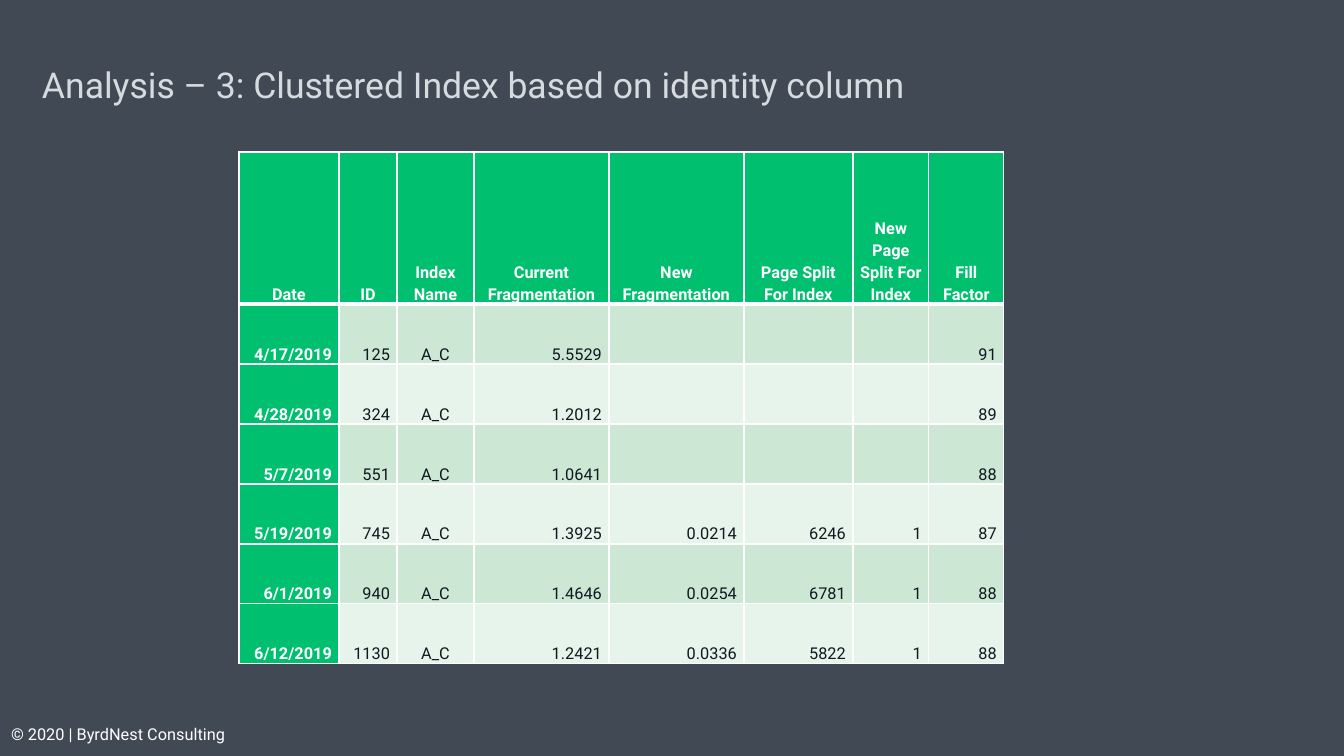
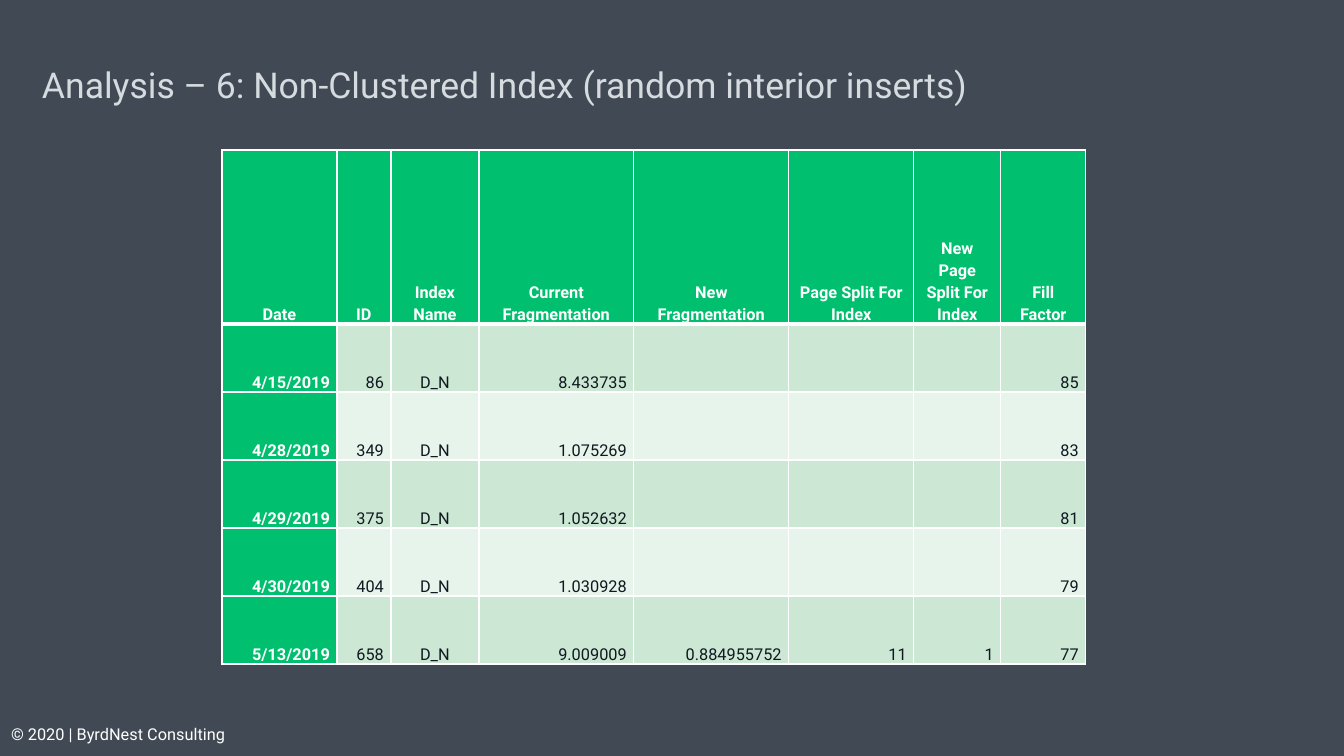
from lxml.etree import SubElement
from pptx import Presentation
from pptx.dml.color import RGBColor
from pptx.enum.text import MSO_ANCHOR as ANCHOR, PP_ALIGN as ALIGN
from pptx.oxml.ns import qn
from pptx.util import Emu, Pt

EMU_PER_PX = 8572.5

HEADINGS = ["Date", "ID", "Index Name", "Current Fragmentation", "New Fragmentation",
            "Page Split For Index", "New Page Split For Index", "Fill Factor"]
NAME_COLUMN = HEADINGS.index("Index Name")

ANALYSES = [
    {
        "title": "Analysis – 3: Clustered Index based on identity column",
        "origin": (239, 152),
        "widths": [100, 58, 77, 135, 135, 109, 76, 75],
        "heights": (152, 60),
        "records": [
            ["4/17/2019", "125", "A_C", "5.5529", "", "", "", "91"],
            ["4/28/2019", "324", "A_C", "1.2012", "", "", "", "89"],
            ["5/7/2019", "551", "A_C", "1.0641", "", "", "", "88"],
            ["5/19/2019", "745", "A_C", "1.3925", "0.0214", "6246", "1", "87"],
            ["6/1/2019", "940", "A_C", "1.4646", "0.0254", "6781", "1", "88"],
            ["6/12/2019", "1130", "A_C", "1.2421", "0.0336", "5822", "1", "88"],
        ],
    },
    {
        "title": "Analysis – 6: Non-Clustered Index (random interior inserts)",
        "origin": (222, 150),
        "widths": [115, 54, 88, 155, 155, 125, 87, 85],
        "heights": (174, 68),
        "records": [
            ["4/15/2019", "86", "D_N", "8.433735", "", "", "", "85"],
            ["4/28/2019", "349", "D_N", "1.075269", "", "", "", "83"],
            ["4/29/2019", "375", "D_N", "1.052632", "", "", "", "81"],
            ["4/30/2019", "404", "D_N", "1.030928", "", "", "", "79"],
            ["5/13/2019", "658", "D_N", "9.009009", "0.884955752", "11", "1", "77"],
        ],
    },
]


def px(length):
    return Emu(int(length * EMU_PER_PX))


def color(hex_code):
    return RGBColor.from_string(hex_code)


class Deck:
    FONT = "Roboto"
    BACKGROUND, TITLE, WHITE, INK = "414A54", "D6DBE0", "FFFFFF", "101820"
    GREEN, BANDS = "00BF6F", ("CCE8D5", "E7F4EB")
    THIN, THICK = 1, 3

    def __init__(self):
        self.prs = Presentation()
        self.prs.slide_width, self.prs.slide_height = px(1344), px(756)
        self.slide = None

    # Slide with the shared background, title and footer
    def add_slide(self, title):
        self.slide = self.prs.slides.add_slide(self.prs.slide_layouts[6])
        background = self.slide.background.fill
        background.solid()
        background.fore_color.rgb = color(self.BACKGROUND)
        self.text(title, (42, 42, 1260, 84), 24, self.TITLE, (0, 0))
        self.text("© 2020 | ByrdNest Consulting", (0, 713, 239, 43), 11, self.WHITE, (11, 5))

    def style_font(self, paragraph, size, hex_code, bold=False):
        font = paragraph.font
        for key, value in {"name": self.FONT, "size": Pt(size), "bold": bold}.items():
            setattr(font, key, value)
        font.color.rgb = color(hex_code)

    def text(self, words, box, size, hex_code, insets):
        frame = self.slide.shapes.add_textbox(*map(px, box)).text_frame
        side, edge = map(px, insets)
        layout = {"word_wrap": True, "vertical_anchor": ANCHOR.MIDDLE,
                  "margin_left": side, "margin_right": side,
                  "margin_top": edge, "margin_bottom": edge}
        for key, value in layout.items():
            setattr(frame, key, value)
        frame.text = words
        self.style_font(frame.paragraphs[0], size, hex_code)

    # Table with a green heading row and date column over banded rows
    def table(self, origin, widths, heights, records):
        rows = [HEADINGS] + records
        head_height, row_height = heights
        total = head_height + row_height * len(records)
        frame = self.slide.shapes.add_table(
            len(rows), len(widths), *map(px, (*origin, sum(widths), total)))
        table = frame.table
        table.first_col = True
        for column, width in zip(table.columns, widths):
            column.width = px(width)
        for r, values in enumerate(rows):
            table.rows[r].height = px(row_height if r else head_height)
            for c, value in enumerate(values):
                self.cell(table.cell(r, c), value, r, c)

    def cell(self, cell, value, r, c):
        is_heading = r == 0 or c == 0
        # Borders come before the fill in the cell's XML
        self.borders(cell, {"L": self.THIN, "R": self.THIN,
                            "T": self.THICK if r == 1 else self.THIN,
                            "B": self.THICK if r == 0 else self.THIN})
        cell.fill.solid()
        cell.fill.fore_color.rgb = color(self.GREEN if is_heading else self.BANDS[(r - 1) % 2])
        layout = {"vertical_anchor": ANCHOR.BOTTOM, "margin_left": px(7),
                  "margin_right": px(7), "margin_top": 0, "margin_bottom": 0}
        for key, attribute in layout.items():
            setattr(cell, key, attribute)
        cell.text = value
        paragraph = cell.text_frame.paragraphs[0]
        centred = r == 0 or c == NAME_COLUMN
        paragraph.alignment = ALIGN.CENTER if centred else ALIGN.RIGHT
        paragraph.line_spacing = 1.15
        self.style_font(paragraph, 11, self.WHITE if is_heading else self.INK, is_heading)

    def borders(self, cell, weights):
        properties = cell._tc.get_or_add_tcPr()
        for side, weight in weights.items():
            line = SubElement(properties, qn(f"a:ln{side}"), w=str(Pt(weight)))
            SubElement(SubElement(line, qn("a:solidFill")), qn("a:srgbClr"), val=self.WHITE)


def main():
    deck = Deck()
    for analysis in ANALYSES:
        deck.add_slide(analysis["title"])
        deck.table(analysis["origin"], analysis["widths"],
                   analysis["heights"], analysis["records"])
    deck.prs.save("out.pptx")


if __name__ == "__main__":
    main()
